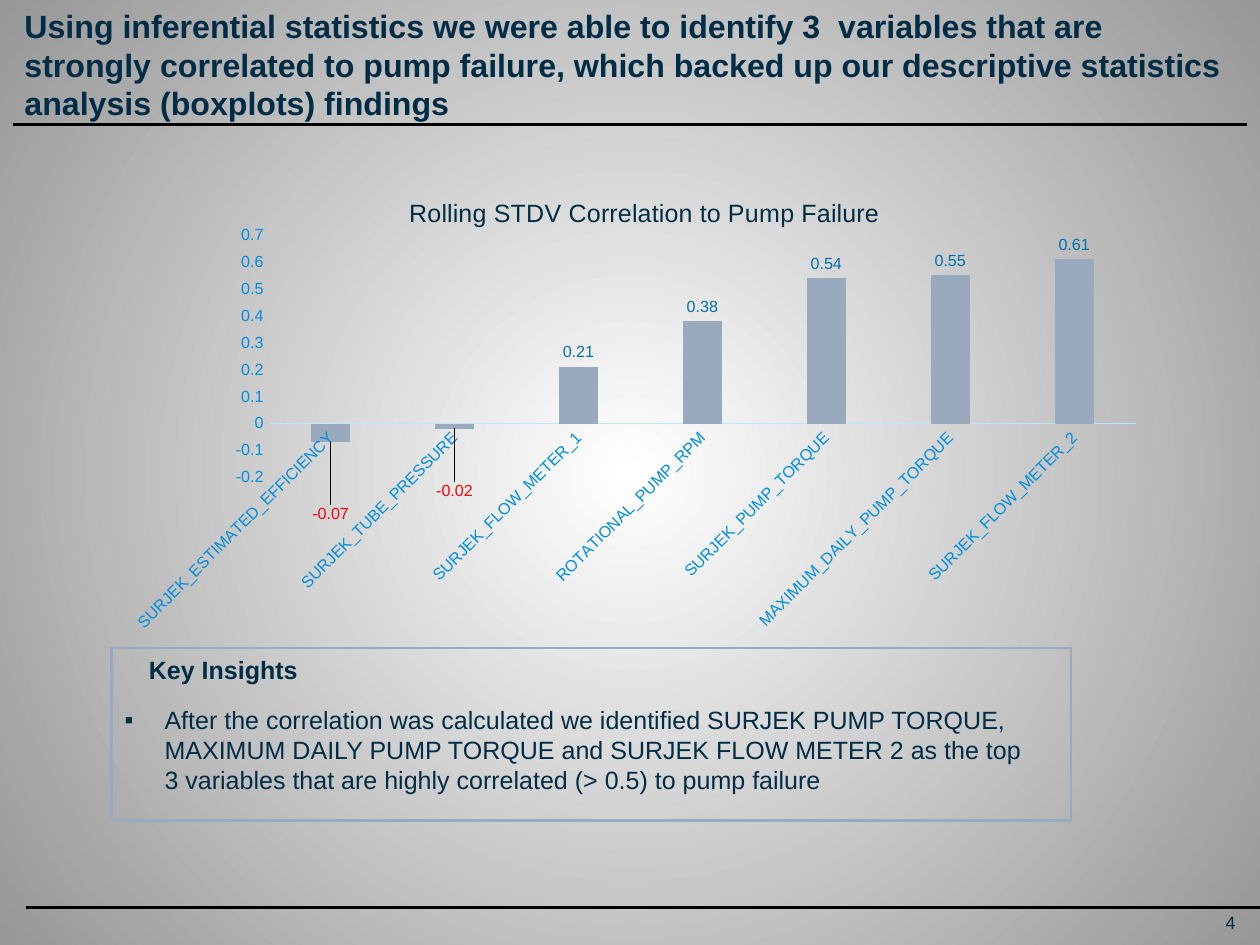
from dataclasses import dataclass

from lxml.etree import SubElement
from pptx import Presentation
from pptx.chart.data import CategoryChartData
from pptx.dml.color import RGBColor
from pptx.enum.chart import XL_CHART_TYPE as ChartType
from pptx.enum.chart import XL_LABEL_POSITION as LabelPosition
from pptx.enum.chart import XL_TICK_MARK as TickMark
from pptx.enum.shapes import MSO_CONNECTOR as Connector
from pptx.enum.shapes import MSO_SHAPE as ShapeType
from pptx.enum.text import MSO_ANCHOR as Anchor
from pptx.enum.text import MSO_AUTO_SIZE as AutoSize
from pptx.enum.text import PP_ALIGN as Align
from pptx.oxml import parse_xml
from pptx.oxml.ns import nsdecls, qn
from pptx.util import Inches, Pt


@dataclass(frozen=True)
class Theme:
    font: str = "Arial"
    ink: str = "002C46"
    rule: str = "000000"
    bar: str = "99AABE"
    axis_text: str = "008DE0"
    axis_line: str = "BDE6FF"
    label: str = "0071B4"
    negative: str = "FF0000"
    center: str = "FFFFFF"
    edge: str = "979797"
    title_size: int = 18
    body_size: int = 14
    number_size: int = 10
    chart_size: int = 9


THEME = Theme()
CORRELATIONS = {
    "SURJEK_ESTIMATED_EFFICIENCY": -0.07,
    "SURJEK_TUBE_PRESSURE": -0.02,
    "SURJEK_FLOW_METER_1": 0.21,
    "ROTATIONAL_PUMP_RPM": 0.38,
    "SURJEK_PUMP_TORQUE": 0.54,
    "MAXIMUM_DAILY_PUMP_TORQUE": 0.55,
    "SURJEK_FLOW_METER_2": 0.61,
}
NEGATIVE_LABEL_DROPS = [0.12, 0.1]


def rgb(color):
    return RGBColor.from_string(color)


def style_font(font, size, color=THEME.ink, bold=False):
    font.name = THEME.font
    font.size = Pt(size)
    font.bold = bold
    font.color.rgb = rgb(color)


def place(shape, left, top, width, height):
    shape.left, shape.top = Inches(left), Inches(top)
    shape.width, shape.height = Inches(width), Inches(height)


def fill_text(shape, text, size, bold=False, inset=(0.1, 0.05), anchor=Anchor.TOP, align=Align.LEFT):
    frame = shape.text_frame
    frame.word_wrap = True
    frame.auto_size = AutoSize.NONE
    frame.vertical_anchor = anchor
    frame.margin_left = frame.margin_right = Inches(inset[0])
    frame.margin_top = frame.margin_bottom = Inches(inset[1])
    frame.text = text
    paragraph = frame.paragraphs[0]
    paragraph.alignment = align
    paragraph.space_before = Pt(0)
    style_font(paragraph.font, size, bold=bold)
    return paragraph


def add_text(slide, box, text, size, **options):
    shape = slide.shapes.add_textbox(*map(Inches, box))
    fill_text(shape, text, size, **options)


def add_bullet(paragraph, indent):
    properties = paragraph._p.get_or_add_pPr()
    properties.set("marL", str(Inches(indent)))
    properties.set("indent", str(-Inches(indent)))
    font = properties.find(qn("a:defRPr"))
    for xml in (
        f'<a:buClr {nsdecls("a")}><a:srgbClr val="{THEME.ink}"/></a:buClr>',
        f'<a:buFont {nsdecls("a")} typeface="{THEME.font}"/>',
        f'<a:buChar {nsdecls("a")} char="▪"/>',
    ):
        font.addprevious(parse_xml(xml))


def add_rule(slide, left, right, top):
    rule = slide.shapes.add_connector(
        Connector.STRAIGHT, Inches(left), Inches(top), Inches(right), Inches(top)
    )
    rule.line.color.rgb = rgb(THEME.rule)
    rule.line.width = Pt(2)
    SubElement(rule.element.spPr, qn("a:effectLst"))


def add_frame(slide, box):
    frame = slide.shapes.add_shape(ShapeType.RECTANGLE, *map(Inches, box))
    frame.shadow.inherit = False
    frame.fill.background()
    frame.line.color.rgb = rgb(THEME.bar)
    frame.line.width = Pt(1.5)


def set_background(slide):
    fill = slide.background.fill
    fill.gradient()
    for stop, color, position in zip(fill.gradient_stops, (THEME.center, THEME.edge), (0, 1)):
        stop.color.rgb = rgb(color)
        stop.position = position
    gradient = slide.element.xpath(".//p:bg//a:gradFill")[0]
    gradient.remove(gradient.find(qn("a:lin")))
    radial = SubElement(gradient, qn("a:path"), path="circle")
    SubElement(radial, qn("a:fillToRect"), l="50000", t="50000", r="50000", b="50000")


def manual_layout(modes, **values):
    settings = {**modes, **values}
    items = "".join(f'<c:{name} val="{value}"/>' for name, value in settings.items())
    return parse_xml(f'<c:layout {nsdecls("c")}><c:manualLayout>{items}</c:manualLayout></c:layout>')


def replace_layout(anchor, layout):
    for old in anchor.getparent().findall(qn("c:layout")):
        anchor.getparent().remove(old)
    anchor.addnext(layout)


def style_axis(axis):
    axis.major_tick_mark = axis.minor_tick_mark = TickMark.NONE
    axis.has_major_gridlines = False
    style_font(axis.tick_labels.font, THEME.chart_size, THEME.axis_text)


def add_correlation_chart(slide, box):
    data = CategoryChartData()
    data.categories = list(CORRELATIONS)
    data.add_series("Series 1", list(CORRELATIONS.values()))
    chart = slide.shapes.add_chart(ChartType.COLUMN_CLUSTERED, *map(Inches, box), data).chart
    style_font(chart.font, THEME.number_size)
    chart.has_legend = False
    chart.has_title = True
    chart.chart_title.include_in_layout = False
    title = chart.chart_title.text_frame
    title.text = "Rolling STDV Correlation to Pump Failure"
    style_font(title.paragraphs[0].font, THEME.body_size)

    style_axis(chart.category_axis)
    chart.category_axis.format.line.color.rgb = rgb(THEME.axis_line)
    chart.category_axis.format.line.width = Pt(0.75)
    values = chart.value_axis
    style_axis(values)
    values.format.line.fill.background()
    values.minimum_scale, values.maximum_scale, values.major_unit = -0.2, 0.7, 0.1
    values.tick_labels.number_format = "General"
    values.tick_labels.number_format_is_linked = False

    plot = chart.plots[0]
    plot.gap_width, plot.overlap, plot.vary_by_categories = 219, -27, False
    series = plot.series[0]
    series.invert_if_negative = False
    series.format.fill.solid()
    series.format.fill.fore_color.rgb = rgb(THEME.bar)
    labels = series.data_labels
    labels.show_value = True
    labels.number_format = "#,##0.00"
    labels.number_format_is_linked = False
    labels.position = LabelPosition.OUTSIDE_END
    style_font(labels.font, THEME.chart_size, THEME.label)
    for index, drop in enumerate(NEGATIVE_LABEL_DROPS):
        label = series.points[index].data_label
        style_font(label.font, THEME.chart_size, THEME.negative)
        label.position = LabelPosition.OUTSIDE_END
        identity = chart.element.xpath(f".//c:dLbl/c:idx[@val='{index}']")[0]
        replace_layout(identity, manual_layout({}, x=0, y=drop))

    chart.element.xpath(".//c:catAx/c:txPr/a:bodyPr")[0].set("rot", "-2700000")
    edges = {"xMode": "edge", "yMode": "edge"}
    replace_layout(chart.element.xpath(".//c:title/c:tx")[0], manual_layout(edges, x=0.28, y=0.05))
    plot_area = chart.element.xpath(".//c:plotArea")[0]
    for old in plot_area.findall(qn("c:layout")):
        plot_area.remove(old)
    inner = {"layoutTarget": "inner", **edges}
    plot_area.insert(0, manual_layout(inner, x=0.15, y=0.14, w=0.83, h=0.51))


def main():
    presentation = Presentation()
    presentation.slide_width, presentation.slide_height = Inches(9.8), Inches(7.35)
    slide = presentation.slides.add_slide(presentation.slide_layouts[1])
    set_background(slide)
    title, insights = slide.placeholders
    place(title, 0.19, 0.05, 9.43, 0.91)
    fill_text(
        title,
        "Using inferential statistics we were able to identify 3  variables that are strongly "
        "correlated to pump failure, which backed up our descriptive statistics analysis "
        "(boxplots) findings",
        THEME.title_size, bold=True, inset=(0, 0),
    )
    add_rule(slide, 0.1, 9.7, 0.97)
    add_rule(slide, 0.2, 9.8, 7.06)
    add_text(slide, (9.44, 7.09, 0.17, 0.17), "4", THEME.number_size,
             inset=(0, 0), anchor=Anchor.MIDDLE, align=Align.RIGHT)
    add_text(slide, (1.06, 5.04, 1.67, 0.34), "Key Insights", THEME.body_size, bold=True)
    place(insights, 0.87, 5.43, 7.28, 0.81)
    bullet = fill_text(
        insights,
        "After the correlation was calculated we identified SURJEK PUMP TORQUE, MAXIMUM DAILY "
        "PUMP TORQUE and SURJEK FLOW METER 2 as the top 3 variables that are highly correlated "
        "(> 0.5) to pump failure",
        THEME.body_size,
    )
    add_bullet(bullet, 0.31)
    add_correlation_chart(slide, (0.87, 1.31, 8.13, 3.7))
    add_frame(slide, (0.87, 5.04, 7.46, 1.34))
    presentation.save("out.pptx")


if __name__ == "__main__":
    main()
